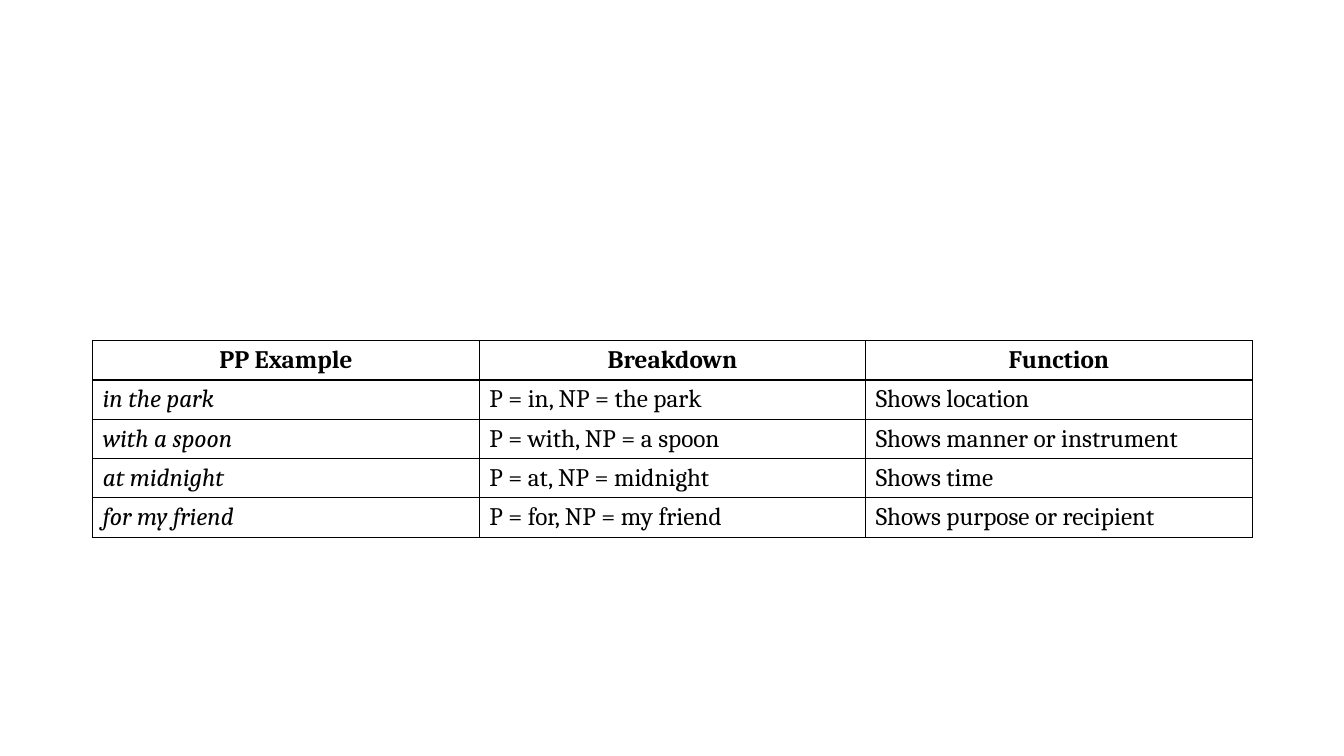
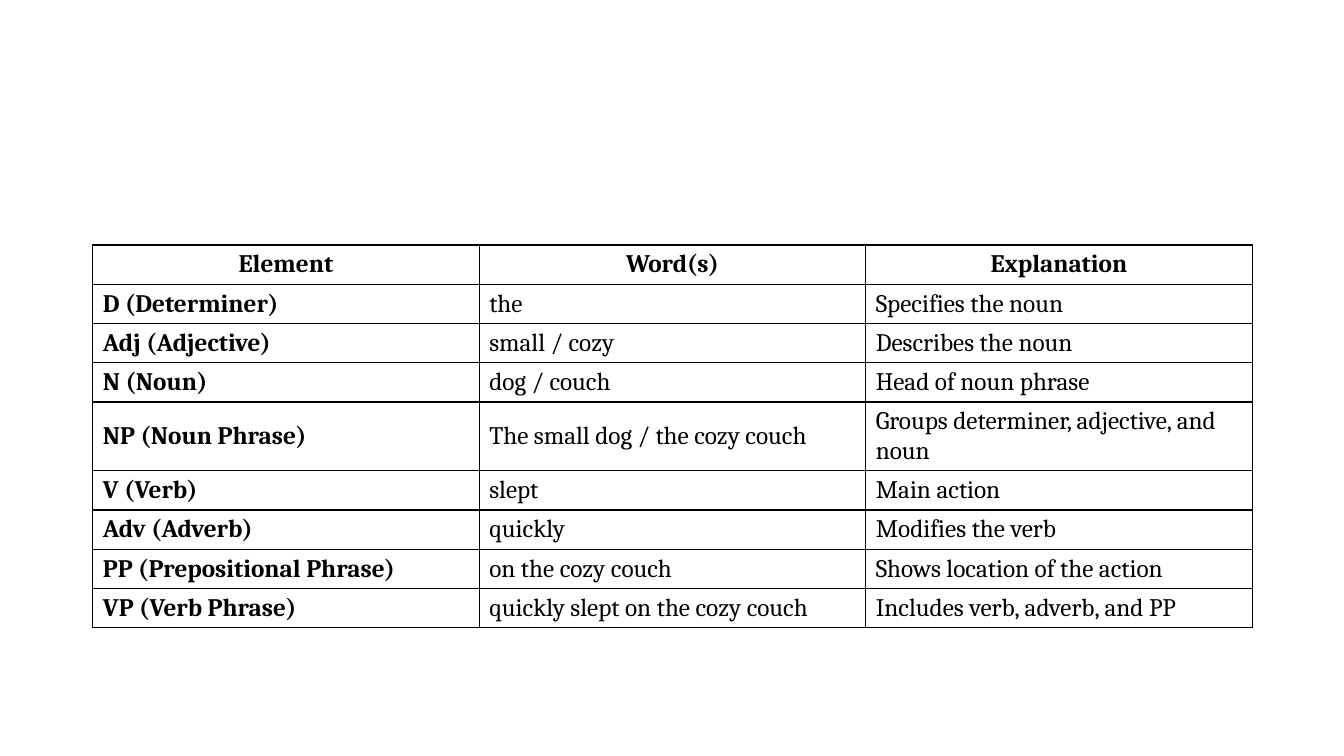
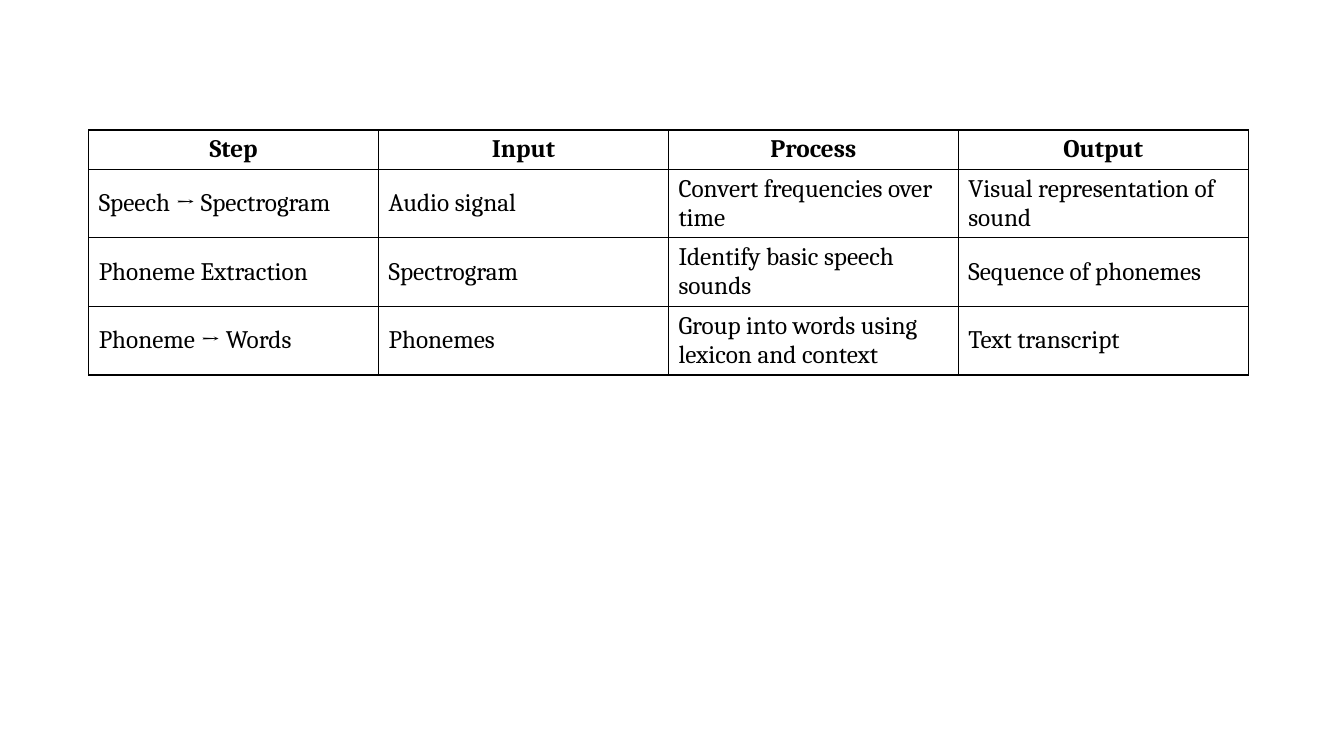
"""Build three slides of grammar and speech-processing tables."""

from dataclasses import dataclass

from lxml import etree
from pptx import Presentation
from pptx.dml.color import RGBColor
from pptx.enum.text import MSO_ANCHOR, PP_ALIGN
from pptx.oxml.ns import qn
from pptx.presentation import Presentation as Deck
from pptx.table import _Cell
from pptx.util import Inches, Pt

MIDDLE = MSO_ANCHOR.MIDDLE
CENTER = PP_ALIGN.CENTER
LEFT = PP_ALIGN.LEFT

BLANK_LAYOUT = 6
INK = "000000"
FONT = "Cambria"
TEXT_SIZE = 18
BORDER_WIDTH = 1
BORDER_TAGS = ("a:lnL", "a:lnR", "a:lnT", "a:lnB")
TABLE_WIDTH = 11.5
ROW_HEIGHT = 0.39
TALL_ROW_HEIGHT = 0.68


@dataclass(frozen=True)
class TextStyle:
    """Look of the text in a cell."""

    bold: bool = False
    italic: bool = False
    align: PP_ALIGN = LEFT


HEADING = TextStyle(bold=True, align=CENTER)
BODY = TextStyle()
TERM = TextStyle(bold=True)
EXAMPLE = TextStyle(italic=True)


@dataclass(frozen=True)
class TableSlide:
    """Place, rows and first-column style of one table."""

    left: float
    top: float
    rows: tuple[tuple[str, ...], ...]
    first_column: TextStyle = BODY
    tall_rows: tuple[int, ...] = ()


SLIDES = (
    TableSlide(
        0.92,
        3.38,
        (
            ("PP Example", "Breakdown", "Function"),
            ("in the park", "P = in, NP = the park", "Shows location"),
            ("with a spoon", "P = with, NP = a spoon", "Shows manner or instrument"),
            ("at midnight", "P = at, NP = midnight", "Shows time"),
            ("for my friend", "P = for, NP = my friend", "Shows purpose or recipient"),
        ),
        first_column=EXAMPLE,
    ),
    TableSlide(
        0.92,
        2.43,
        (
            ("Element", "Word(s)", "Explanation"),
            ("D (Determiner)", "the", "Specifies the noun"),
            ("Adj (Adjective)", "small / cozy", "Describes the noun"),
            ("N (Noun)", "dog / couch", "Head of noun phrase"),
            (
                "NP (Noun Phrase)",
                "The small dog / the cozy couch",
                "Groups determiner, adjective, and noun",
            ),
            ("V (Verb)", "slept", "Main action"),
            ("Adv (Adverb)", "quickly", "Modifies the verb"),
            ("PP (Prepositional Phrase)", "on the cozy couch", "Shows location of the action"),
            ("VP (Verb Phrase)", "quickly slept on the cozy couch", "Includes verb, adverb, and PP"),
        ),
        first_column=TERM,
        tall_rows=(4,),
    ),
    TableSlide(
        0.88,
        1.29,
        (
            ("Step", "Input", "Process", "Output"),
            (
                "Speech → Spectrogram",
                "Audio signal",
                "Convert frequencies over time",
                "Visual representation of sound",
            ),
            (
                "Phoneme Extraction",
                "Spectrogram",
                "Identify basic speech sounds",
                "Sequence of phonemes",
            ),
            (
                "Phoneme → Words",
                "Phonemes",
                "Group into words using lexicon and context",
                "Text transcript",
            ),
        ),
        tall_rows=(1, 2, 3),
    ),
)


def color(value: str) -> RGBColor:
    """Turn a hex string into a colour."""
    return RGBColor.from_string(value)


def add_borders(cell: _Cell) -> None:
    """Draw a solid line on all four sides of a cell."""
    properties = cell._tc.get_or_add_tcPr()
    for tag in BORDER_TAGS:
        line = etree.SubElement(properties, qn(tag), w=str(Pt(BORDER_WIDTH)))
        fill = etree.SubElement(line, qn("a:solidFill"))
        etree.SubElement(fill, qn("a:srgbClr"), val=INK)


def fill_cell(cell: _Cell, text: str, style: TextStyle) -> None:
    """Write styled text into a bordered, unfilled cell."""
    add_borders(cell)
    cell.fill.background()
    cell.vertical_anchor = MIDDLE
    para = cell.text_frame.paragraphs[0]
    para.alignment = style.align
    span = para.add_run()
    span.text = text
    span.font.name = FONT
    span.font.size = Pt(TEXT_SIZE)
    span.font.bold = style.bold
    span.font.italic = style.italic
    span.font.color.rgb = color(INK)


def add_table_slide(deck: Deck, content: TableSlide) -> None:
    """Add a slide that holds one table with equal columns."""
    page = deck.slides.add_slide(deck.slide_layouts[BLANK_LAYOUT])
    heights = [
        TALL_ROW_HEIGHT if index in content.tall_rows else ROW_HEIGHT
        for index in range(len(content.rows))
    ]
    table = page.shapes.add_table(
        len(content.rows),
        len(content.rows[0]),
        Inches(content.left),
        Inches(content.top),
        Inches(TABLE_WIDTH),
        Inches(sum(heights)),
    ).table
    table.first_row = False
    table.horz_banding = False
    for row_index, texts in enumerate(content.rows):
        table.rows[row_index].height = Inches(heights[row_index])
        for column_index, text in enumerate(texts):
            if row_index == 0:
                style = HEADING
            else:
                style = BODY if column_index else content.first_column
            fill_cell(table.cell(row_index, column_index), text, style)


def main() -> None:
    """Build and save the deck."""
    deck = Presentation()
    deck.slide_width = Inches(13.33)
    deck.slide_height = Inches(7.5)
    for content in SLIDES:
        add_table_slide(deck, content)
    deck.save("out.pptx")


if __name__ == "__main__":
    main()
